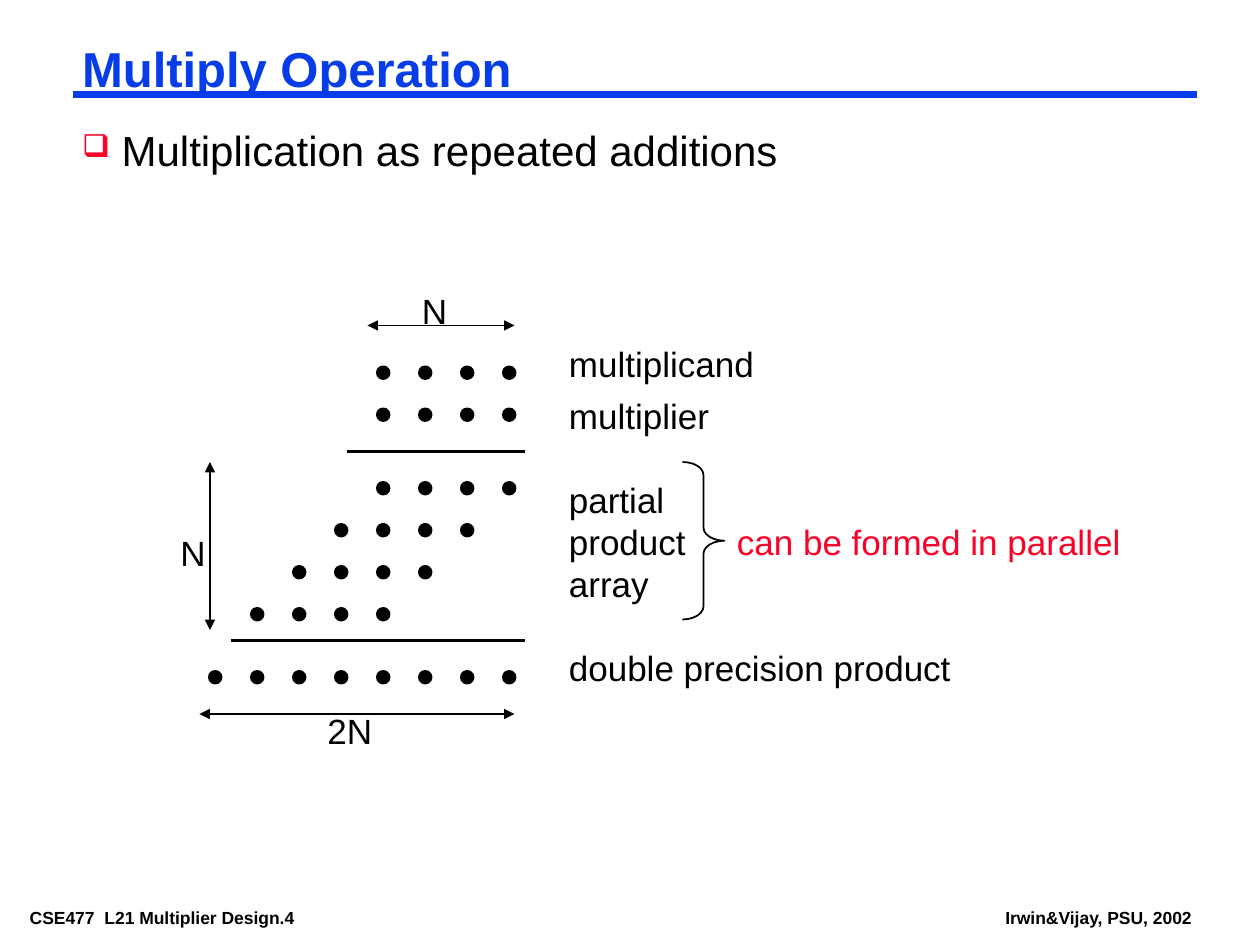
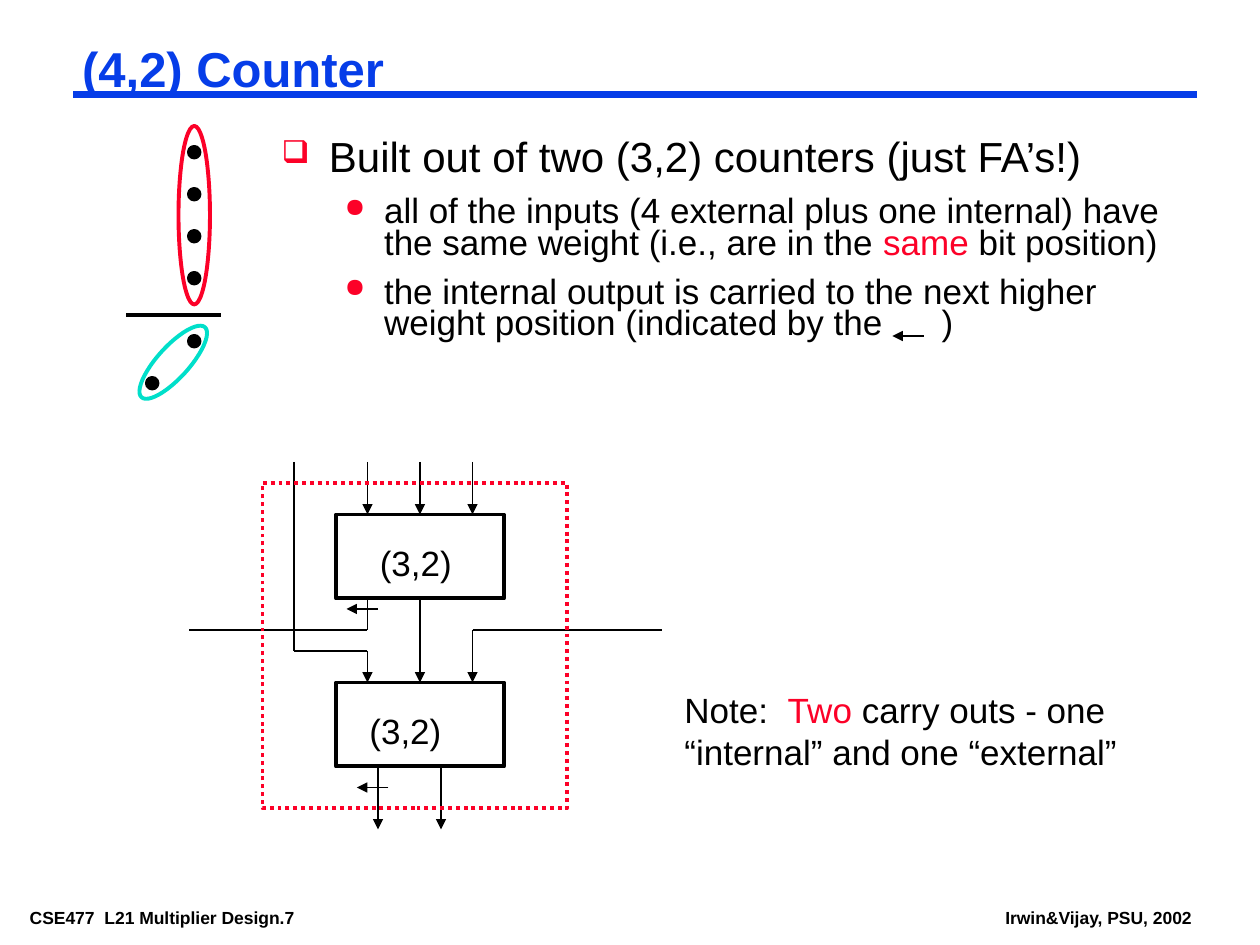
"""Builds two lecture slides on multiplier design: dot diagrams and a (4,2) counter."""
import lxml.etree
import pptx
import pptx.dml.color
import pptx.enum.dml
import pptx.enum.shapes
import pptx.oxml.ns
import pptx.util

COLORS = {"blue": "063DE8", "red": "FC0128", "teal": "00DFCA", "black": "000000"}
FONT = "Arial"
TITLE = {"size": pptx.util.Pt(28), "bold": True}
FOOTER = {"size": pptx.util.Pt(10), "bold": True}
POINT = {"size": pptx.util.Pt(24)}
BODY = {"size": pptx.util.Pt(20)}
TIGHT = (5, 2.4)
LOOSE = (7.2, 3.6)
THIN, THICK = 1, 2.25
DOT = 6
PITCH = 24
SHAPES = pptx.enum.shapes.MSO_SHAPE


def color(name):
    return pptx.dml.color.RGBColor.from_string(COLORS[name])


def add_element(parent, tag, **attributes):
    element = lxml.etree.SubElement(parent, pptx.oxml.ns.qn(tag))
    for name, value in attributes.items():
        element.set(name, str(value))
    return element


def add_bullet(paragraph, character, margin, hanging):
    properties = paragraph._p.get_or_add_pPr()
    properties.set("marL", str(pptx.util.Pt(margin)))
    properties.set("indent", str(pptx.util.Pt(-hanging)))
    add_element(add_element(properties, "a:buClr"), "a:srgbClr", val=COLORS["red"])
    add_element(properties, "a:buSzPct", val=75000)
    add_element(properties, "a:buChar", char=character)


def add_runs(paragraph, runs, font):
    for text, tint, spacing in runs:
        run = paragraph.add_run()
        run.text = text
        run.font.name = FONT
        run.font.color.rgb = color(tint)
        for name, value in font.items():
            setattr(run.font, name, value)
        if spacing:
            run._r.get_or_add_rPr().set("spc", str(round(spacing * 100)))


def piece(text, tint="black", spacing=0):
    return text, tint, spacing


def line_of(*runs, font=BODY, bullet=None, **formats):
    return {"runs": runs, "font": font, "bullet": bullet, "formats": formats}


def add_text(slide, box, paragraphs, insets=LOOSE, wrap=True):
    shape = slide.shapes.add_textbox(*map(pptx.util.Pt, box))
    frame = shape.text_frame
    frame.word_wrap = wrap
    frame.margin_left = frame.margin_right = pptx.util.Pt(insets[0])
    frame.margin_top = frame.margin_bottom = pptx.util.Pt(insets[1])
    for index, content in enumerate(paragraphs):
        paragraph = frame.add_paragraph() if index else frame.paragraphs[0]
        if content["bullet"]:
            add_bullet(paragraph, *content["bullet"])
        for name, value in content["formats"].items():
            setattr(paragraph, name, value)
        add_runs(paragraph, content["runs"], content["font"])


def add_label(slide, left, top, width, *lines, tint="black"):
    box = (left, top, width, 8 + 24 * len(lines))
    add_text(slide, box, [line_of(piece(text, tint)) for text in lines])


def add_outline(slide, kind, box, tint="black", fill=None, width=THICK):
    shape = slide.shapes.add_shape(kind, *map(pptx.util.Pt, box))
    shape.shadow.inherit = False
    if fill:
        shape.fill.solid()
        shape.fill.fore_color.rgb = color(fill)
    else:
        shape.fill.background()
    shape.line.color.rgb = color(tint)
    shape.line.width = pptx.util.Pt(width)
    return shape


def add_dot(slide, left, top):
    add_outline(slide, SHAPES.OVAL, (left, top, DOT, DOT), fill="black")


def add_line(slide, left, top, ends, width=THIN, tint="black", arrows=(), source=None, target=None):
    x1, y1, x2, y2 = ends
    points = (left + x1, top + y1, left + x2, top + y2)
    connector = slide.shapes.add_connector(
        pptx.enum.shapes.MSO_CONNECTOR.STRAIGHT, *map(pptx.util.Pt, points))
    connector.line.color.rgb = color(tint)
    connector.line.width = pptx.util.Pt(width)
    for arrow in arrows:
        add_element(connector.line._get_or_add_ln(), arrow, type="triangle")
    add_element(connector._element.spPr, "a:effectLst")
    if source:
        connector.begin_connect(source, 2)
    if target:
        connector.end_connect(target, 0)


def add_frame(slide, title, number):
    footer = line_of(piece("CSE477"), piece(" ", spacing=2.8),
                     piece(f"L21 Multiplier Design.{number}"), font=FOOTER)
    add_text(slide, (12, 516, 204, 16), [footer], TIGHT, wrap=False)
    credit = line_of(piece("Irwin&Vijay, PSU, 2002"), font=FOOTER)
    add_text(slide, (569.5, 516, 117, 16), [credit], TIGHT, wrap=False)
    add_line(slide, 42, 54, (0, 0, 642, 0), width=4.5, tint="blue")
    heading = line_of(piece(title, "blue"), font=TITLE, line_spacing=0.87)
    add_text(slide, (42, 24, 642, 33), [heading], TIGHT)


def add_dot_multiplication(slide, left, top):
    rows = [(48, 4, 0), (72, 4, 0), (222, 8, 0)]
    rows += [(114 + PITCH * shift, 4, shift) for shift in range(4)]
    for y, count, shift in rows:
        for column in range(count):
            add_dot(slide, left + 192 - PITCH * (column + shift), top + y)
    for ends in ((102, 96, 204, 96), (36, 204, 204, 204)):
        add_line(slide, left, top, ends, width=THICK)
    for ends in ((114, 24, 198, 24), (18, 246, 198, 246), (24, 198, 24, 102)):
        add_line(slide, left, top, ends, arrows=("a:headEnd", "a:tailEnd"))
    for x, y, text in ((138, 0, "N"), (84, 240, "2N"), (0, 138, "N")):
        add_label(slide, left + x, top + y, 42, text)


def add_row_names(slide, left, top):
    add_label(slide, left, top, 126, "multiplicand")
    add_label(slide, left, top + 30, 126, "multiplier")
    add_label(slide, left, top + 78, 126, "partial", "product", "array")
    add_label(slide, left, top + 174, 288, "double precision product")
    add_label(slide, left + 96, top + 102, 258, "can be formed in parallel", tint="red")
    brace = add_outline(slide, SHAPES.RIGHT_BRACE, (left + 72, top + 72, 24, 90), width=THIN)
    brace.adjustments[0] = 0.31


def add_dot_reduction(slide, left, top):
    for row in range(4):
        add_dot(slide, left + 36, top + 12 + PITCH * row)
    for step in range(2):
        add_dot(slide, left + 36 - PITCH * step, top + 120 + PITCH * step)
    add_outline(slide, SHAPES.OVAL, (left + 30, top, 18, 102), "red")
    pair = add_outline(slide, SHAPES.OVAL, (left + 18, top + 108, 18, 54), "teal")
    pair.rotation = 42.2
    add_line(slide, left, top, (0, 108, 54, 108), width=THICK)


def add_counter_circuit(slide, left, top):
    upper, lower = [add_outline(slide, SHAPES.RECTANGLE, (left + 84, top + y, 96, 48))
                    for y in (30, 126)]
    wires = [(0, 96, 102, 96), (102, 78, 102, 96), (60, 0, 60, 108),
             (60, 108, 102, 108), (162, 96, 270, 96)]
    for ends in wires:
        add_line(slide, left, top, ends)
    arrows = [(102, 0, 102, 30), (162, 0, 162, 30), (102, 108, 102, 126),
              (162, 96, 162, 126), (108, 174, 108, 210), (144, 174, 144, 210),
              (108, 84, 90, 84), (114, 186, 96, 186)]
    for ends in arrows:
        add_line(slide, left, top, ends, arrows=("a:tailEnd",))
    add_line(slide, left, top, (132, 0, 132, 30), arrows=("a:tailEnd",), target=upper)
    add_line(slide, left, top, (132, 78, 132, 126), arrows=("a:tailEnd",),
             source=upper, target=lower)
    for x, y in ((102, 42), (96, 138)):
        add_label(slide, left + x, top + y, 66, "(3,2)")
    boundary = add_outline(slide, SHAPES.RECTANGLE, (left + 42, top + 12, 174, 186), "red")
    boundary.line.dash_style = pptx.enum.dml.MSO_LINE.ROUND_DOT


def add_counter_text(slide, left, top):
    detail = {"bullet": ("●", 58.5, 22.5), "line_spacing": 0.75,
              "space_before": pptx.util.Pt(10)}
    add_text(slide, (left, top, 534, 132), [
        line_of(piece("Built out of two (3,2) counters (just FA’s!)"),
                font=POINT, bullet=("❑", 27, 27), line_spacing=0.8),
        line_of(piece("all of the inputs (4 external plus one internal) have the same "
                      "weight (i.e., are in the "),
                piece("same", "red"), piece(" bit position)"), **detail),
        line_of(piece("the internal output is carried to the next higher weight position "
                      "(indicated by the"),
                piece(" ", spacing=27.8), piece(")"), **detail)], TIGHT)
    add_line(slide, left, top, (372, 114, 354, 114), arrows=("a:tailEnd",))


def build_multiply_slide(slide):
    add_frame(slide, "Multiply Operation", 4)
    point = line_of(piece("Multiplication as repeated additions"), font=POINT,
                    bullet=("❑", 22.5, 22.5), line_spacing=0.9)
    add_text(slide, (42, 72, 642, 30), [point], TIGHT)
    add_dot_multiplication(slide, 96, 162)
    add_row_names(slide, 318, 192)


def build_counter_slide(slide):
    add_frame(slide, "(4,2) Counter", 7)
    add_counter_text(slide, 156, 78)
    add_counter_circuit(slide, 108, 264)
    add_dot_reduction(slide, 72, 72)
    note = line_of(piece("Note:"), piece(" ", spacing=5.6), piece("Two", "red"),
                   piece(" carry outs - one “internal” and one “external”"))
    add_text(slide, (384, 390, 288, 55), [note])


def main():
    presentation = pptx.Presentation()
    presentation.slide_width = pptx.util.Pt(720)
    presentation.slide_height = pptx.util.Pt(540)
    for build in (build_multiply_slide, build_counter_slide):
        build(presentation.slides.add_slide(presentation.slide_layouts[6]))
    presentation.save("out.pptx")


if __name__ == "__main__":
    main()
